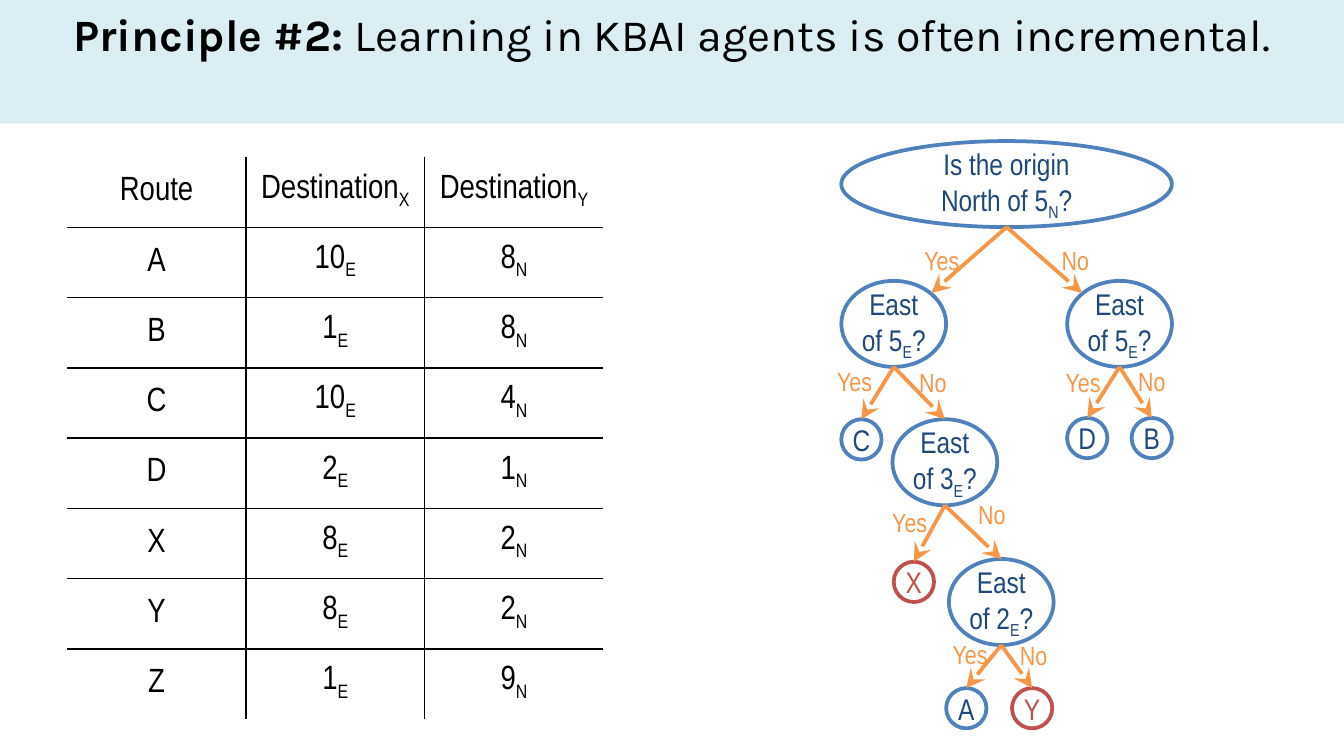
from lxml import etree
from pptx import Presentation
from pptx.dml.color import RGBColor
from pptx.enum.shapes import MSO_CONNECTOR, MSO_SHAPE
from pptx.enum.text import MSO_ANCHOR, MSO_AUTO_SIZE, PP_ALIGN
from pptx.oxml import parse_xml
from pptx.oxml.ns import nsdecls, qn
from pptx.util import Inches, Pt

COLORS = {
    "black": "000000", "white": "FFFFFF", "band": "DBEEF4", "blue": "4F81BD",
    "navy": "1F497D", "red": "C0504D", "orange": "F79646",
}
FONT = "Arial Narrow"


def rgb(name):
    return RGBColor.from_string(COLORS[name])


def write_text(paragraph, text, size, color):
    """Write text in which the letter after an underscore is a subscript."""
    head, _, rest = text.partition("_")
    for part, is_subscript in ((head, False), (rest[:1], True), (rest[1:], False)):
        if not part:
            continue
        run = paragraph.add_run()
        run.text = part
        for name, value in {"name": FONT, "size": Pt(size)}.items():
            setattr(run.font, name, value)
        run.font.color.rgb = rgb(color)
        if is_subscript:
            run._r.get_or_add_rPr().set("baseline", "-25000")


presentation = Presentation()
presentation.slide_width = Inches(10)
presentation.slide_height = Inches(10) * 9 // 16
slide = presentation.slides.add_slide(presentation.slide_layouts[6])
shapes = slide.shapes

# Title band
band = shapes.add_shape(MSO_SHAPE.RECTANGLE, 0, 0, Inches(10), Inches(0.92))
band.shadow.inherit = False
band.fill.solid()
band.fill.fore_color.rgb = rgb("band")
band.line.fill.background()
band.text_frame.vertical_anchor = MSO_ANCHOR.TOP
title = band.text_frame.paragraphs[0]
title.alignment = PP_ALIGN.CENTER
for text, bold in (("Principle #2: ", True),
                   ("Learning in KBAI agents is often incremental.", False)):
    run = title.add_run()
    run.text = text
    for name, value in {"name": "Karla", "size": Pt(24), "bold": bold}.items():
        setattr(run.font, name, value)
    run.font.color.rgb = rgb("black")

# Route table with inner rules only
ROUTES = [
    ("Route", "Destination_X", "Destination_Y"),
    ("A", "10_E", "8_N"), ("B", "1_E", "8_N"), ("C", "10_E", "4_N"),
    ("D", "2_E", "1_N"), ("X", "8_E", "2_N"), ("Y", "8_E", "2_N"),
    ("Z", "1_E", "9_N"),
]
last_row, last_column = len(ROUTES) - 1, len(ROUTES[0]) - 1
table = shapes.add_table(len(ROUTES), len(ROUTES[0]), Inches(0.5), Inches(1.17),
                         Inches(3.99), Inches(4.18)).table
table.first_row = table.horz_banding = False
for column in table.columns:
    column.width = Inches(1.33)
for r, route in enumerate(ROUTES):
    for c, text in enumerate(route):
        cell = table.cell(r, c)
        cell.vertical_anchor = MSO_ANCHOR.MIDDLE
        paragraph = cell.text_frame.paragraphs[0]
        paragraph.alignment = PP_ALIGN.CENTER
        write_text(paragraph, text, 18, "black")
        properties = cell._tc.get_or_add_tcPr()
        inner_sides = {"lnL": c > 0, "lnR": c < last_column,
                       "lnT": r > 0, "lnB": r < last_row}
        for side, is_inner in inner_sides.items():
            paint = (f'<a:solidFill><a:srgbClr val="{COLORS["black"]}"/></a:solidFill>'
                     if is_inner else "<a:noFill/>")
            properties.append(parse_xml(
                f'<a:{side} {nsdecls("a")} w="{Pt(1)}">{paint}</a:{side}>'))
        cell.fill.background()

# Decision tree: name -> left, top, size, lines, outline, text color
ROOT, QUESTION, LEAF = (2.46, 0.64), (0.78, 0.64), (0.3, 0.3)
NODES = {
    "root": (6.26, 1.05, ROOT, ["Is the origin", "North of 5_N?"], "blue", "navy"),
    "north": (6.26, 2.09, QUESTION, ["East of 5_E?"], "blue", "navy"),
    "south": (7.94, 2.09, QUESTION, ["East of 5_E?"], "blue", "navy"),
    "east 3": (6.64, 3.12, QUESTION, ["East of 3_E?"], "blue", "navy"),
    "east 2": (7.06, 4.16, QUESTION, ["East of 2_E?"], "blue", "navy"),
    "C": (6.26, 3.12, LEAF, ["C"], "blue", "navy"),
    "D": (7.94, 3.11, LEAF, ["D"], "blue", "navy"),
    "B": (8.42, 3.11, LEAF, ["B"], "blue", "navy"),
    "X": (6.65, 4.18, LEAF, ["X"], "red", "red"),
    "A": (7.04, 5.12, LEAF, ["A"], "blue", "navy"),
    "Y": (7.53, 5.12, LEAF, ["Y"], "red", "red"),
}
nodes = {}
for name, (left, top, size, lines, outline, color) in NODES.items():
    node = shapes.add_shape(MSO_SHAPE.OVAL, *map(Inches, (left, top, *size)))
    node.shadow.inherit = False
    node.fill.solid()
    node.fill.fore_color.rgb = rgb("white")
    node.line.color.rgb = rgb(outline)
    node.line.width = Pt(2)
    frame = node.text_frame
    for key, value in {"margin_left": 0, "margin_right": 0, "margin_top": 0,
                       "margin_bottom": 0, "word_wrap": True,
                       "vertical_anchor": MSO_ANCHOR.MIDDLE}.items():
        setattr(frame, key, value)
    for i, line in enumerate(lines):
        paragraph = frame.add_paragraph() if i else frame.paragraphs[0]
        paragraph.alignment = PP_ALIGN.CENTER
        write_text(paragraph, line, 16, color)
    nodes[name] = node

# Branches: parent, child, answer, answer left, answer top
BRANCHES = [
    ("root", "north", "Yes", 6.78, 1.77), ("root", "south", "No", 7.8, 1.77),
    ("north", "C", "Yes", 6.13, 2.67), ("north", "east 3", "No", 6.74, 2.68),
    ("south", "D", "Yes", 7.83, 2.68), ("south", "B", "No", 8.37, 2.67),
    ("east 3", "X", "Yes", 6.54, 3.72), ("east 3", "east 2", "No", 7.18, 3.66),
    ("east 2", "A", "Yes", 6.99, 4.7), ("east 2", "Y", "No", 7.49, 4.71),
]
for parent_name, child_name, answer, left, top in BRANCHES:
    parent, child = nodes[parent_name], nodes[child_name]
    start_x, start_y = parent.left + parent.width // 2, parent.top + parent.height
    end_x, end_y = child.left + child.width // 2, child.top
    if parent_name == "root":  # meets the child's upper inner shoulder
        end_x += Inches(0.28 if end_x < start_x else -0.28)
        end_y += Inches(0.09)
    arrow = shapes.add_connector(MSO_CONNECTOR.STRAIGHT, start_x, start_y, end_x, end_y)
    if parent_name != "root":
        arrow.end_connect(child, 0)
    arrow.line.color.rgb = rgb("orange")
    arrow.line.width = Pt(2)
    etree.SubElement(arrow.line._get_or_add_ln(), qn("a:tailEnd"),
                     type="stealth", w="lg", len="lg")
    etree.SubElement(arrow._element.spPr, qn("a:effectLst"))

    width = 0.46 if answer == "Yes" else 0.41
    label = shapes.add_textbox(*map(Inches, (left, top, width, 0.34)))
    label.text_frame.word_wrap = False
    label.text_frame.auto_size = MSO_AUTO_SIZE.SHAPE_TO_FIT_TEXT
    write_text(label.text_frame.paragraphs[0], answer, 14, "orange")

presentation.save("out.pptx")
